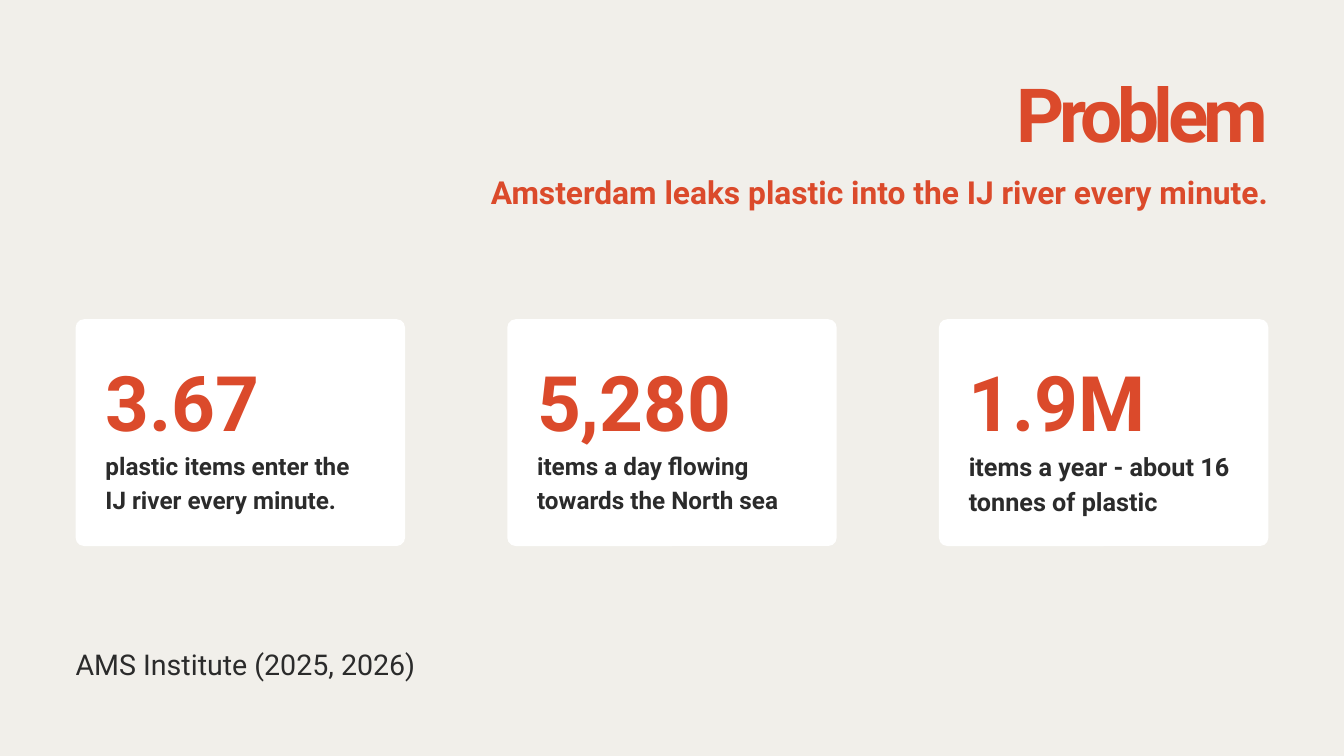
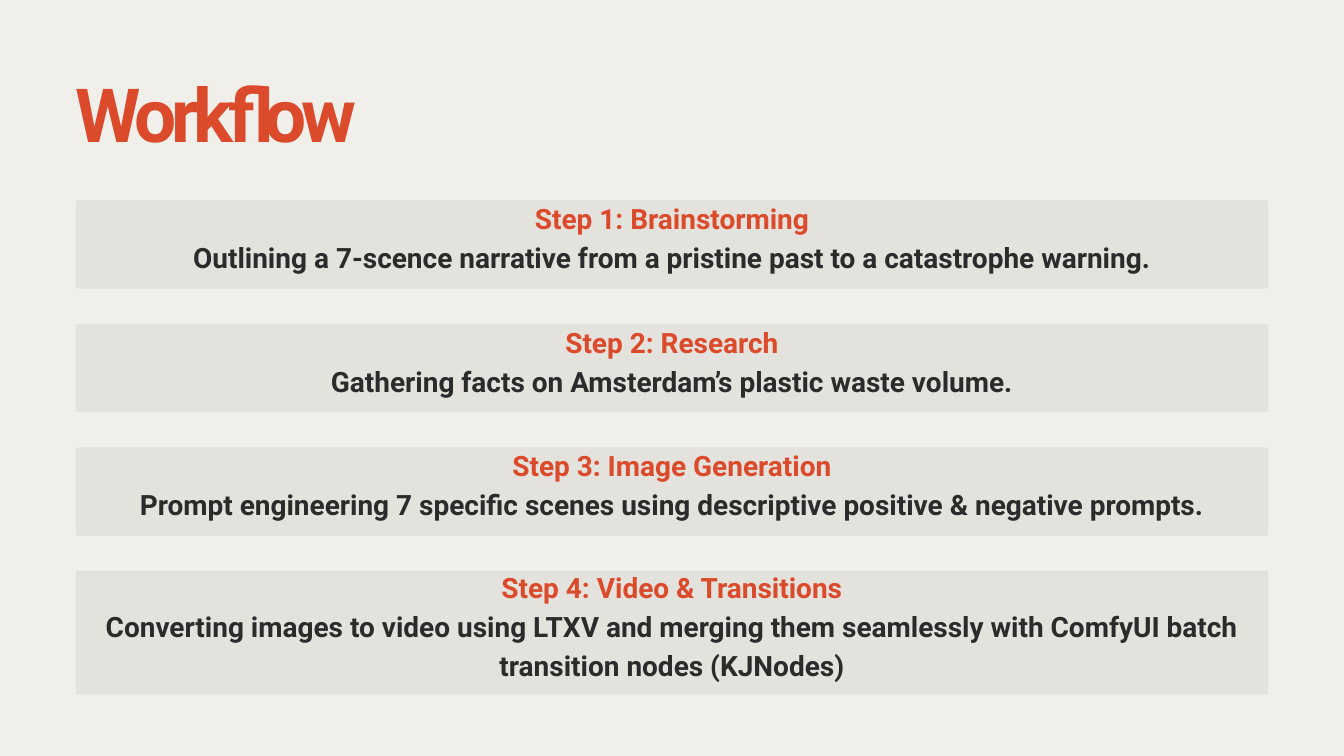
"""Build a two-slide deck on river plastic: the problem and the workflow."""
from dataclasses import dataclass

from pptx import Presentation
from pptx.dml.color import RGBColor
from pptx.enum import shapes, text
from pptx.oxml import ns
from pptx.presentation import Presentation as Deck
from pptx.shapes.base import BaseShape
from pptx.slide import Slide
from pptx.text.text import TextFrame
from pptx.util import Pt

LEFT, CENTER, RIGHT = text.PP_ALIGN.LEFT, text.PP_ALIGN.CENTER, text.PP_ALIGN.RIGHT


@dataclass(frozen=True)
class Theme:
    """Colours, font and type sizes of the deck."""
    paper: str = "F1EFEA"
    accent: str = "DB4A2B"
    ink: str = "2B2B2B"
    card: str = "FFFFFF"
    band: str = "E4E2DD"
    font: str = "Roboto"
    title: float = 80
    title_tracking: int = -560
    subtitle: float = 34
    figure: float = 82
    source: float = 30.6
    step: float = 30


@dataclass(frozen=True)
class Box:
    """A rectangle in points."""
    left: float
    top: float
    width: float
    height: float


@dataclass(frozen=True)
class Line:
    """A paragraph with its type."""
    words: str
    size: float
    leading: float
    color: str
    bold: bool = True


@dataclass(frozen=True)
class Stat:
    """A key figure with its caption."""
    figure: str
    caption: str
    size: float = 26
    leading: float = 36.4


@dataclass(frozen=True)
class Step:
    """A workflow step with its number of text lines."""
    name: str
    detail: str
    lines: int = 2


THEME = Theme()
PAGE_WIDTH, PAGE_HEIGHT = 1440, 810
MARGIN = 81
CONTENT_WIDTH = PAGE_WIDTH - 2 * MARGIN
TITLE_WIDTH = 664

CARD_TOP, CARD_WIDTH, CARD_HEIGHT, CARD_RADIUS = 342, 353, 243, 9
CARD_PADDING = 32

BAND_TOP, BAND_GAP, BAND_RADIUS = 214.5, 37.6, 2.5
BAND_PADDING, STEP_LEADING, STEP_RISE, STEP_INSET = 10.8, 42, 20, 4.5

STATS = [
    Stat("3.67", "plastic items enter the IJ river every minute."),
    Stat("5,280", "items a day flowing towards the North sea"),
    Stat("1.9M", "items a year - about 16 tonnes of plastic", 27, 37.8),
]
STEPS = [
    Step("Step 1: Brainstorming",
         "Outlining a 7-scence narrative from a pristine past to a catastrophe warning."),
    Step("Step 2: Research", "Gathering facts on Amsterdam’s plastic waste volume."),
    Step("Step 3: Image Generation",
         "Prompt engineering 7 specific scenes using descriptive positive & negative prompts."),
    Step("Step 4: Video & Transitions",
         "Converting images to video using LTXV and merging them seamlessly "
         "with ComfyUI batch transition nodes (KJNodes)", 3),
]


def place(shape: BaseShape, box: Box) -> None:
    """Move and size a shape."""
    shape.left, shape.top = Pt(box.left), Pt(box.top)
    shape.width, shape.height = Pt(box.width), Pt(box.height)


def write(frame: TextFrame, lines: list[Line], align: text.PP_ALIGN,
          anchor: text.MSO_ANCHOR = text.MSO_ANCHOR.TOP, inset: float = 0) -> None:
    """Fill a text frame with formatted paragraphs."""
    frame.word_wrap = True
    frame.auto_size = text.MSO_AUTO_SIZE.NONE
    frame.vertical_anchor = anchor
    frame.margin_left = frame.margin_right = Pt(inset)
    frame.margin_top = frame.margin_bottom = Pt(inset)
    frame.text = "\n".join(line.words for line in lines)
    for para, line in zip(frame.paragraphs, lines):
        para.alignment = align
        para.line_spacing = Pt(line.leading)
        for span in para.runs:
            span.font.name = THEME.font
            span.font.size = Pt(line.size)
            span.font.bold = line.bold
            span.font.color.rgb = RGBColor.from_string(line.color)


def add_text(page: Slide, box: Box, lines: list[Line], align: text.PP_ALIGN = LEFT,
             anchor: text.MSO_ANCHOR = text.MSO_ANCHOR.TOP, inset: float = 0) -> None:
    """Add a text box."""
    shape = page.shapes.add_textbox(0, 0, 0, 0)
    place(shape, box)
    write(shape.text_frame, lines, align, anchor, inset)


def add_panel(page: Slide, box: Box, color: str, radius: float) -> None:
    """Add a plain rounded panel."""
    panel = page.shapes.add_shape(shapes.MSO_SHAPE.ROUNDED_RECTANGLE, 0, 0, 0, 0)
    place(panel, box)
    panel.adjustments[0] = radius / min(box.width, box.height)
    panel.shadow.inherit = False
    panel.fill.solid()
    panel.fill.fore_color.rgb = RGBColor.from_string(color)
    panel.line.fill.background()


def add_page(deck: Deck, title: str, align: text.PP_ALIGN) -> Slide:
    """Add a title-only slide with its title at the left or right margin."""
    page = deck.slides.add_slide(deck.slide_layouts.get_by_name("Title Only"))
    left = MARGIN if align == LEFT else PAGE_WIDTH - MARGIN - TITLE_WIDTH
    heading = page.shapes.title
    place(heading, Box(left, 105, TITLE_WIDTH, 72))
    write(heading.text_frame, [Line(title, THEME.title, 64, THEME.accent)], align)
    for properties in heading.element.iter(ns.qn("a:rPr")):
        properties.set("spc", str(THEME.title_tracking))
    return page


def add_stat(page: Slide, stat: Stat, left: float) -> None:
    """Add a card with a key figure."""
    add_panel(page, Box(left, CARD_TOP, CARD_WIDTH, CARD_HEIGHT), THEME.card, CARD_RADIUS)
    add_text(page, Box(left + CARD_PADDING, 363.6, CARD_WIDTH - 2 * CARD_PADDING, 188), [
        Line(stat.figure, THEME.figure, 114.8, THEME.accent),
        Line(stat.caption, stat.size, stat.leading, THEME.ink),
    ])


def add_step(page: Slide, step: Step, top: float) -> float:
    """Add a workflow band and return its height."""
    height = step.lines * STEP_LEADING + BAND_PADDING
    if step.lines > 2:
        height -= STEP_INSET
    add_panel(page, Box(MARGIN, top, CONTENT_WIDTH, height), THEME.band, BAND_RADIUS)
    add_text(page, Box(MARGIN, top - STEP_RISE, CONTENT_WIDTH, height + STEP_RISE), [
        Line(step.name, THEME.step, STEP_LEADING, THEME.accent),
        Line(step.detail, THEME.step, STEP_LEADING, THEME.ink),
    ], CENTER, text.MSO_ANCHOR.MIDDLE, STEP_INSET)
    return height


def build_problem(deck: Deck) -> None:
    """Build the problem slide."""
    page = add_page(deck, "Problem", RIGHT)
    add_text(page, Box(371, 178.6, PAGE_WIDTH - MARGIN - 371, 45.4), [
        Line("Amsterdam leaks plastic into the IJ river every minute.",
             THEME.subtitle, 47.6, THEME.accent),
    ], RIGHT)
    pitch = (CONTENT_WIDTH - CARD_WIDTH) / (len(STATS) - 1)
    for index, stat in enumerate(STATS):
        add_stat(page, stat, MARGIN + index * pitch)
    add_text(page, Box(MARGIN, 687, CONTENT_WIDTH, 42), [
        Line("AMS Institute (2025, 2026)", THEME.source, 42.8, THEME.ink, bold=False),
    ])


def build_workflow(deck: Deck) -> None:
    """Build the workflow slide."""
    page = add_page(deck, "Workflow", LEFT)
    top = BAND_TOP
    for step in STEPS:
        top += add_step(page, step, top) + BAND_GAP


def main() -> None:
    """Build and save the deck."""
    deck = Presentation()
    deck.slide_width, deck.slide_height = Pt(PAGE_WIDTH), Pt(PAGE_HEIGHT)
    background = deck.slide_master.background.fill
    background.solid()
    background.fore_color.rgb = RGBColor.from_string(THEME.paper)
    build_problem(deck)
    build_workflow(deck)
    deck.save("out.pptx")


if __name__ == "__main__":
    main()
